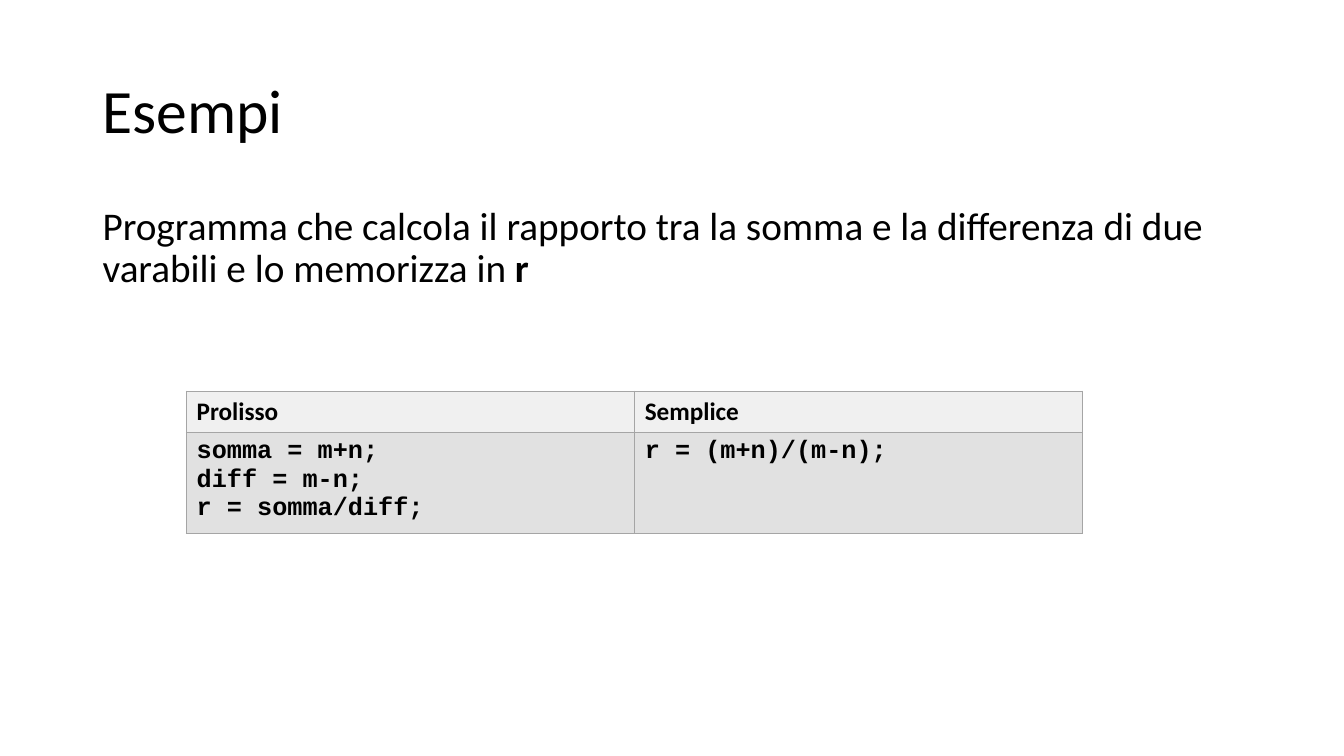
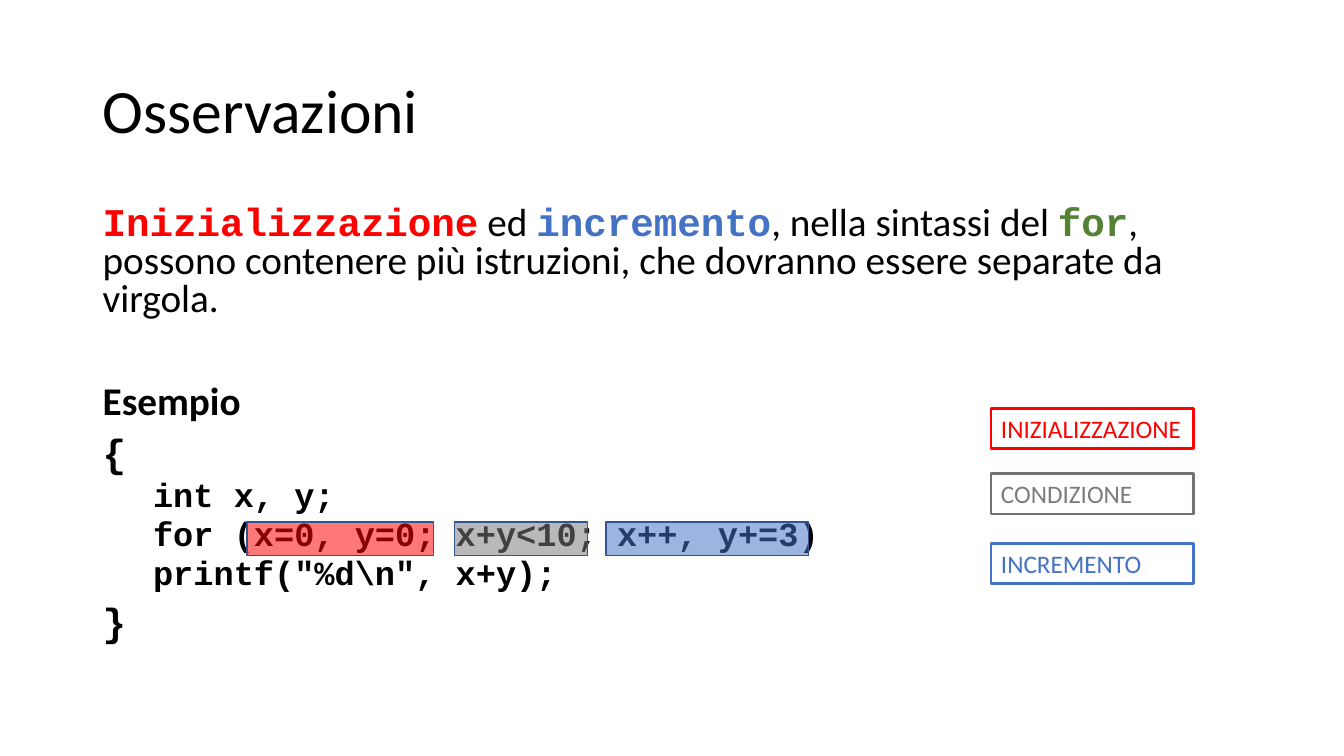
from lxml import etree
from pptx import Presentation
from pptx.dml.color import RGBColor
from pptx.enum.shapes import MSO_SHAPE
from pptx.enum.text import MSO_ANCHOR
from pptx.oxml.ns import qn
from pptx.util import Emu, Inches, Pt

RECTANGLE = MSO_SHAPE.RECTANGLE
MIDDLE, TOP = MSO_ANCHOR.MIDDLE, MSO_ANCHOR.TOP
WIDTH, HEIGHT = Inches(13.33), Inches(7.5)
SANS, MONO = "Calibri", "Courier New"
BLACK, RED, BLUE, GREEN = "000000", "FF0000", "4472C4", "548235"
GREY, GREY_EDGE, MARK_EDGE = "7C7C7C", "767171", "325491"
TABLE_EDGE, HEADER_FILL, CODE_FILL = "A5A5A5", "F0F0F0", "E1E1E1"
LEFT, TEXT_WIDTH = 6.9, 86.27
BODY_TOP = 26.67


def color(hex_string):
    """Turn a hex string into a colour."""
    return RGBColor.from_string(hex_string)


def place(left, top, width, height):
    """Turn percentages of the slide into a position and a size."""
    return (Emu(int(WIDTH * left / 100)), Emu(int(HEIGHT * top / 100)),
            Emu(int(WIDTH * width / 100)), Emu(int(HEIGHT * height / 100)))


def set_font(font, size, face=SANS, hue=BLACK, bold=False):
    """Set the size, face, colour and weight of a font."""
    font.size, font.name, font.bold = Pt(size), face, bold
    font.color.rgb = color(hue)


def add_text(slide, box, anchor=TOP):
    """Add an empty wrapping text frame."""
    frame = slide.shapes.add_textbox(*place(*box)).text_frame
    frame.word_wrap = True
    frame.vertical_anchor = anchor
    return frame


def write(paragraph, runs, size, spacing, before, **style):
    """Fill a paragraph with a string or with (text, style) runs."""
    paragraph.line_spacing, paragraph.space_before = spacing, Pt(before)
    if isinstance(runs, str):
        paragraph.text = runs
        set_font(paragraph.font, size, **style)
        return
    for words, run_style in runs:
        run = paragraph.add_run()
        run.text = words
        set_font(run.font, size, **run_style)


def add_titled_slide(prs, title):
    """Add a blank slide with the shared title."""
    slide = prs.slides.add_slide(prs.slide_layouts[6])
    frame = add_text(slide, (LEFT, 5.33, TEXT_WIDTH, 19.33), MIDDLE)
    write(frame.paragraphs[0], title, 44, 0.9, 0)
    return slide


def add_box(slide, box, edge, edge_width):
    """Add an unfilled rectangle with an outline."""
    shape = slide.shapes.add_shape(RECTANGLE, *place(*box))
    shape.shadow.inherit = False
    shape.fill.background()
    shape.line.color.rgb = color(edge)
    shape.line.width = Pt(edge_width)
    return shape


def add_mark(slide, left, width, hue):
    """Lay a see-through marker over a part of the code."""
    mark = add_box(slide, (left, 69.07, width, 4.4), MARK_EDGE, 1)
    mark.fill.solid()
    mark.fill.fore_color.rgb = color(hue)
    tint = mark.fill._xPr.find(qn("a:solidFill"))[0]
    etree.SubElement(tint, qn("a:alpha")).set("val", "53000")


def add_label(slide, top, words, hue, edge):
    """Add an outlined legend label."""
    label = add_box(slide, (73.74, top, 15.08, 5.33), edge, 2)
    label.text_frame.word_wrap = True
    label.text_frame.vertical_anchor = TOP
    write(label.text_frame.paragraphs[0], words, 18, 1.0, 0, hue=hue)
    label.text_frame.paragraphs[0].alignment = 1


def add_borders(cell):
    """Draw a thin line on each side of a cell."""
    properties = cell._tc.get_or_add_tcPr()
    for index, side in enumerate(("a:lnL", "a:lnR", "a:lnT", "a:lnB")):
        line = etree.Element(qn(side), w=str(Pt(1)))
        fill = etree.SubElement(line, qn("a:solidFill"))
        etree.SubElement(fill, qn("a:srgbClr"), val=TABLE_EDGE)
        properties.insert(index, line)


def add_code_table(slide, box, columns, row_heights):
    """Add a table of code with a header above each column."""
    table = slide.shapes.add_table(2, len(columns), *place(*box)).table
    for row, height in zip(table.rows, row_heights):
        row.height = Emu(int(HEIGHT * height / 100))
    looks = ((SANS, HEADER_FILL), (MONO, CODE_FILL))
    for column, texts in enumerate(columns):
        for row, (words, (face, fill)) in enumerate(zip(texts, looks)):
            cell = table.cell(row, column)
            cell.text = words
            cell.fill.solid()
            cell.fill.fore_color.rgb = color(fill)
            add_borders(cell)
            for paragraph in cell.text_frame.paragraphs:
                set_font(paragraph.font, 18, face, bold=True)


def build_examples(prs):
    """Build the slide that compares two programs."""
    slide = add_titled_slide(prs, "Esempi")
    task = add_text(slide, (LEFT, BODY_TOP, TEXT_WIDTH, 16.27))
    write(task.paragraphs[0], [
        ("Programma che calcola il rapporto tra la somma e la differenza "
         "di due varabili e lo memorizza in ", {}),
        ("r", {"bold": True})], 28, 0.9, 10)
    add_code_table(slide, (13.88, 51.73, 66.69, 18.2), [
        ("Prolisso", "somma = m+n;\ndiff = m-n;\nr = somma/diff;"),
        ("Semplice", "r = (m+n)/(m-n);")], (5.47, 12.73))


def build_remarks(prs):
    """Build the slide on the parts of a for loop."""
    slide = add_titled_slide(prs, "Osservazioni")
    body = add_text(slide, (LEFT, BODY_TOP, TEXT_WIDTH, 63.47))
    code = {"face": MONO, "bold": True}
    write(body.paragraphs[0], [
        ("Inizializzazione", {**code, "hue": RED}),
        (" ed ", {}),
        ("incremento", {**code, "hue": BLUE}),
        (", nella sintassi del ", {}),
        ("for", {**code, "hue": GREEN}),
        (", possono contenere più istruzioni, che dovranno essere "
         "separate da virgola.", {})], 28, 0.8, 10)
    write(body.add_paragraph(), "Esempio", 28, 0.8, 47, bold=True)
    write(body.add_paragraph(), "{", 28, 0.8, 10, **code)
    for statement in ("int x, y;", "for (x=0, y=0; x+y<10; x++, y+=3)",
                      'printf("%d\\n", x+y);'):
        line = body.add_paragraph()
        write(line, statement, 24, 0.8, 5, **code)
        line._p.get_or_add_pPr().set("marL", str(Inches(0.5)))
    write(body.add_paragraph(), "}", 28, 0.8, 10, **code)

    for left, width, hue in ((18.38, 13.88, RED), (33.83, 9.9, GREY),
                             (45.09, 15.08, BLUE)):
        add_mark(slide, left, width, hue)
    for top, words, hue, edge in ((54, "INIZIALIZZAZIONE", RED, RED),
                                  (62.67, "CONDIZIONE", GREY, GREY_EDGE),
                                  (71.87, "INCREMENTO", BLUE, BLUE)):
        add_label(slide, top, words, hue, edge)


def main():
    """Build and save the presentation."""
    prs = Presentation()
    prs.slide_width, prs.slide_height = WIDTH, HEIGHT
    build_examples(prs)
    build_remarks(prs)
    prs.save("out.pptx")


if __name__ == "__main__":
    main()
